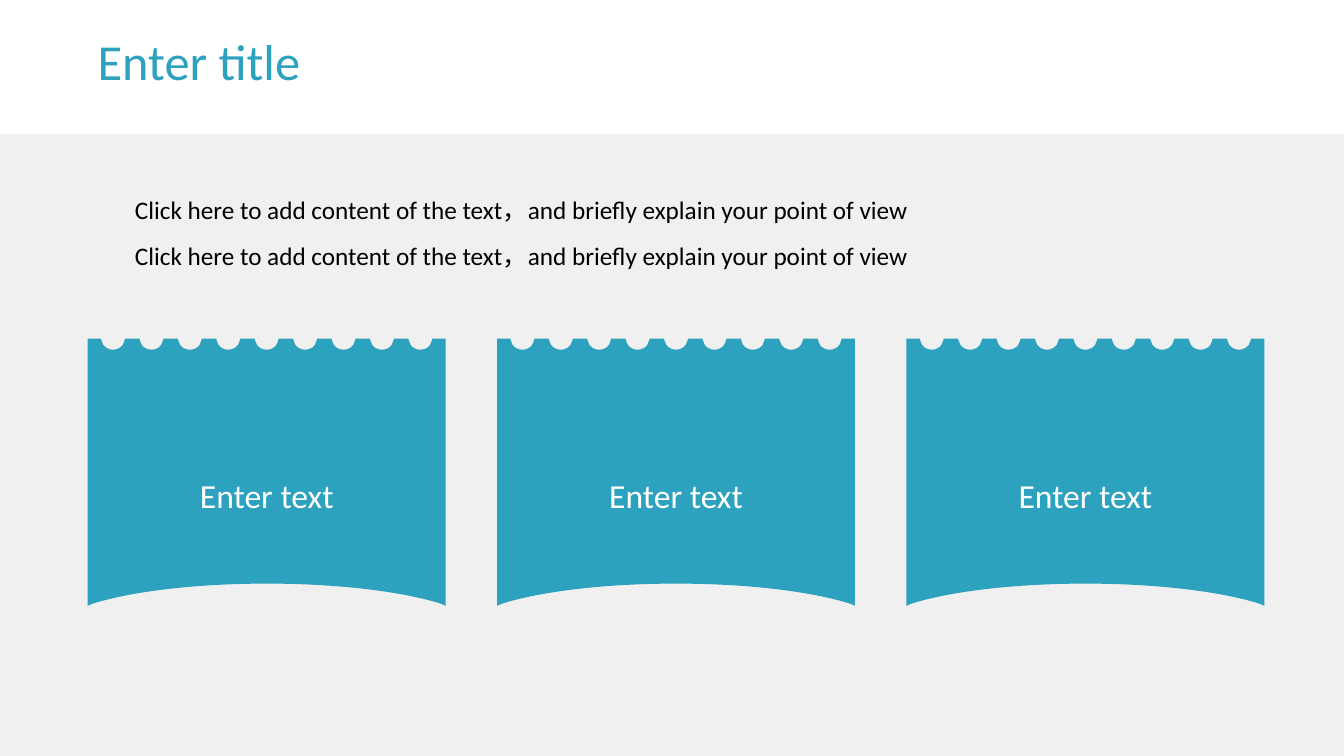
"""Build a title slide body with two lines of text and three ticket-shaped cards."""
from itertools import chain

from lxml.etree import SubElement
from pptx import Presentation
from pptx.dml.color import RGBColor
from pptx.enum.shapes import MSO_SHAPE as SHAPE
from pptx.enum.text import MSO_ANCHOR as ANCHOR, PP_ALIGN as ALIGN
from pptx.oxml.ns import qn
from pptx.util import Inches, Pt

TEAL = RGBColor(0x2D, 0xA2, 0xBF)
GREY = RGBColor(0xF0, 0xF0, 0xF0)
WHITE = RGBColor(0xFF, 0xFF, 0xFF)
BLACK = RGBColor(0, 0, 0)

WIDTH, HEIGHT, HEADER = 13.33, 7.5, 1.33
CARD_LEFT, CARD_STEP, CARD_COUNT = 0.87, 4.06, 3
BODY_LINE = "Click here to add content of the text，and briefly explain your point of view"


def paint(sp, color):
    """Give a shape a flat fill with no outline or shadow."""
    sp.fill.solid()
    sp.fill.fore_color.rgb = color
    sp.line.fill.background()
    sp.shadow.inherit = False


def write(sp, text, size, color, spacing, align=ALIGN.LEFT, top=0.05, bottom=0.05):
    """Set and format the text of a shape, centred vertically between its insets."""
    tf = sp.text_frame
    tf.word_wrap = True
    tf.vertical_anchor = ANCHOR.MIDDLE
    tf.margin_left = tf.margin_right = Inches(0.1)
    tf.margin_top, tf.margin_bottom = Inches(top), Inches(bottom)
    p = tf.paragraphs[0]
    p.text = text
    p.alignment = align
    p.line_spacing = spacing
    for r in p.runs:
        r.font.name = "Calibri"
        r.font.size = Pt(size)
        r.font.color.rgb = color


def add_background(slide, left, top, width, height):
    """Draw the white header band above the grey body."""
    for y, h, color in ((HEADER, height - HEADER, GREY), (0, HEADER, WHITE)):
        sp = slide.shapes.add_shape(
            SHAPE.RECTANGLE, Inches(left), Inches(top + y), Inches(width), Inches(h))
        paint(sp, color)


def add_title(slide, left, top, width, height):
    """Place the slide title in the upper part of its box."""
    sp = slide.shapes.add_textbox(Inches(left), Inches(top), Inches(width), Inches(height))
    write(sp, "Enter title", 36, TEAL, 0.9, top=0, bottom=0.45)


def add_body(slide, left, top, width, height):
    """Place the two lines of introductory text."""
    sp = slide.shapes.add_textbox(Inches(left), Inches(top), Inches(width), Inches(height))
    write(sp, "\v".join([BODY_LINE] * 2), 18, BLACK, 1.5, bottom=0.2)


def card_segments(width, height):
    """Return the card's segments: one point for a line, three for a curve."""
    notches, pitch, mid = 9, 0.381, width / 2
    segments = []
    for i in range(notches):
        c = mid + (i - (notches - 1) / 2) * pitch
        segments += [
            [(c - 0.12, 0)],
            [(c - 0.11, 0.03)],
            [(c - 0.1, 0.08), (c - 0.05, 0.11), (c, 0.11)],
            [(c + 0.05, 0.11), (c + 0.1, 0.08), (c + 0.11, 0.03)],
            [(c + 0.12, 0)],
        ]
    low, bend, crest = height - 0.02, height - 0.14, height - 0.22
    return segments + [
        [(width, 0)],
        [(width, height)],
        [(mid + 1.73, low)],
        [(mid + 1.35, bend), (mid + 0.72, crest), (mid, crest)],
        [(mid - 0.72, crest), (mid - 1.35, bend), (mid - 1.73, low)],
        [(0, height)],
    ]


def bend_curves(sp, segments):
    """Merge the three lines of every curved segment into one cubic curve."""
    lines = iter(list(sp.element.iter(qn("a:lnTo"))))
    for segment in segments:
        parts = [next(lines) for _ in segment]
        if len(parts) == 3:
            outline = parts[0].getparent()
            curve = SubElement(outline, qn("a:cubicBezTo"))
            outline.insert(outline.index(parts[0]), curve)
            for part in parts:
                curve.append(part[0])
                outline.remove(part)


def add_card(slide, left, top, width, height):
    """Draw one ticket-shaped card with its label."""
    segments = card_segments(width, height)
    points = [(Inches(left + x), Inches(top + y)) for x, y in chain(*segments)]
    builder = slide.shapes.build_freeform(Inches(left), Inches(top))
    builder.add_line_segments(points, close=True)
    sp = builder.convert_to_shape()
    bend_curves(sp, segments)
    paint(sp, TEAL)
    write(sp, "Enter text", 24, WHITE, 1.5, ALIGN.CENTER, top=0.31)


def main():
    """Build and save the slide."""
    prs = Presentation()
    prs.slide_width, prs.slide_height = Inches(WIDTH), Inches(HEIGHT)
    slide = prs.slides.add_slide(prs.slide_layouts[6])
    add_background(slide, 0, 0, WIDTH, HEIGHT)
    add_title(slide, 0.87, 0.4, 10.94, 0.93)
    for i in range(CARD_COUNT):
        add_card(slide, CARD_LEFT + i * CARD_STEP, 3.36, 3.55, 2.65)
    add_body(slide, 1.24, 1.64, 10.85, 1.33)
    prs.save("out.pptx")


if __name__ == "__main__":
    main()
